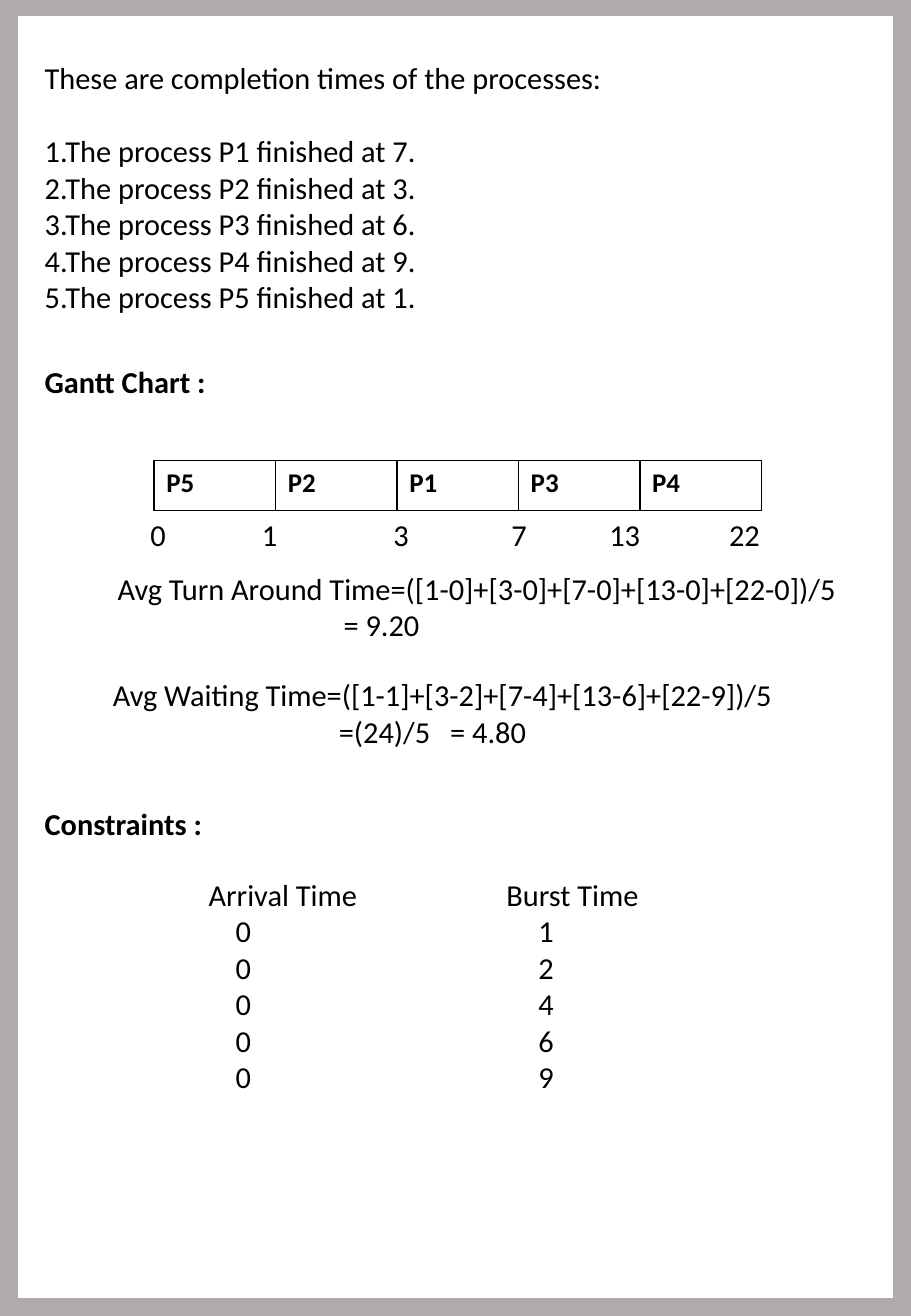
from lxml.etree import SubElement
from pptx import Presentation
from pptx.dml.color import RGBColor
from pptx.enum.shapes import MSO_SHAPE
from pptx.oxml.ns import qn
from pptx.util import Pt

BLACK, GREY = "000000", "AFABAB"


def set_font(paragraph, size, bold=False, color=BLACK):
    """Give a whole paragraph its Calibri font."""
    font = paragraph.font
    font.name, font.size, font.bold = "Calibri", Pt(size), bold
    font.color.rgb = RGBColor.from_string(color)


def add_text(lines, left, top, width, bold=False, tabs=()):
    """Add an 18 pt text box, one paragraph per line, with left tab stops."""
    height = 22 * len(lines) + 7.2
    box = slide.shapes.add_textbox(Pt(left), Pt(top), Pt(width), Pt(height))
    frame = box.text_frame
    frame.word_wrap = True
    frame.text = "\n".join(lines)
    for paragraph in frame.paragraphs:
        if tabs:
            properties = paragraph._p.get_or_add_pPr()
            tab_list = SubElement(properties, qn("a:tabLst"))
            for position in tabs:
                SubElement(tab_list, qn("a:tab"), pos=str(Pt(position)), algn="l")
        set_font(paragraph, 18, bold)
    return frame


presentation = Presentation()
presentation.slide_width, presentation.slide_height = Pt(540), Pt(779.76)
slide = presentation.slides.add_slide(presentation.slide_layouts[6])

# Page border
border = slide.shapes.add_shape(MSO_SHAPE.FRAME, Pt(0), Pt(-1.4), Pt(540), Pt(781.2))
border.adjustments[0] = 0.019
border.shadow.inherit = False
border.fill.solid()
border.fill.fore_color.rgb = RGBColor.from_string(GREY)
border.line.color.rgb = RGBColor.from_string(GREY)
border.line.width = Pt(1)

# Completion times
finish_times = [7, 3, 6, 9, 1]
completion_lines = ["These are completion times of the processes:"]
for number, time in enumerate(finish_times, start=1):
    completion_lines.append(f"{number}.The process P{number} finished at {time}.")
completion = add_text(completion_lines, 19.4, 31.7, 502)
completion.paragraphs[0].space_after = Pt(21.6)

# Section headings
for heading, top in (("Gantt Chart :", 211.7), ("Constraints :", 473.8)):
    add_text([heading], 19.4, top, 154, bold=True)

# Gantt chart
processes = ["P5", "P2", "P1", "P3", "P4"]
gantt_frame = slide.shapes.add_table(
    1, len(processes), Pt(91.4), Pt(272.9), Pt(360), Pt(29.5))
gantt = gantt_frame.table
gantt.first_row = gantt.horz_banding = False
for cell, process in zip(gantt.iter_cells(), processes):
    cell.text = process
    set_font(cell.text_frame.paragraphs[0], 16, bold=True)
    cell_properties = cell._tc.get_or_add_tcPr()
    for side in ("lnL", "lnR", "lnT", "lnB"):
        edge = SubElement(cell_properties, qn(f"a:{side}"), w=str(Pt(1)))
        edge_fill = SubElement(edge, qn("a:solidFill"))
        SubElement(edge_fill, qn("a:srgbClr"), val=BLACK)
    cell.fill.background()
add_text(["0\t1\t3\t7\t13\t22"], 82.1, 302.4, 383, tabs=(66, 144, 214, 272, 343))

# Averages
add_text(["Avg Turn Around Time=([1-0]+[3-0]+[7-0]+[13-0]+[22-0])/5", "\t= 9.20"],
         62.6, 334.1, 445, tabs=(134,))
add_text(["Avg Waiting Time=([1-1]+[3-2]+[7-4]+[13-6]+[22-9])/5", "\t=(24)/5\t= 4.80"],
         59.8, 397.4, 468, tabs=(134, 200))

# Arrival and burst times
burst_times = [1, 2, 4, 6, 9]
constraints = add_text(
    ["Arrival Time\tBurst Time"] + [f"\t0\t{burst}" for burst in burst_times],
    116.6, 515.5, 274, tabs=(16, 195.5))
header_tabs = constraints.paragraphs[0]._p.pPr.find(qn("a:tabLst"))
header_tabs[1].set("pos", str(Pt(176.5)))

presentation.save("out.pptx")
